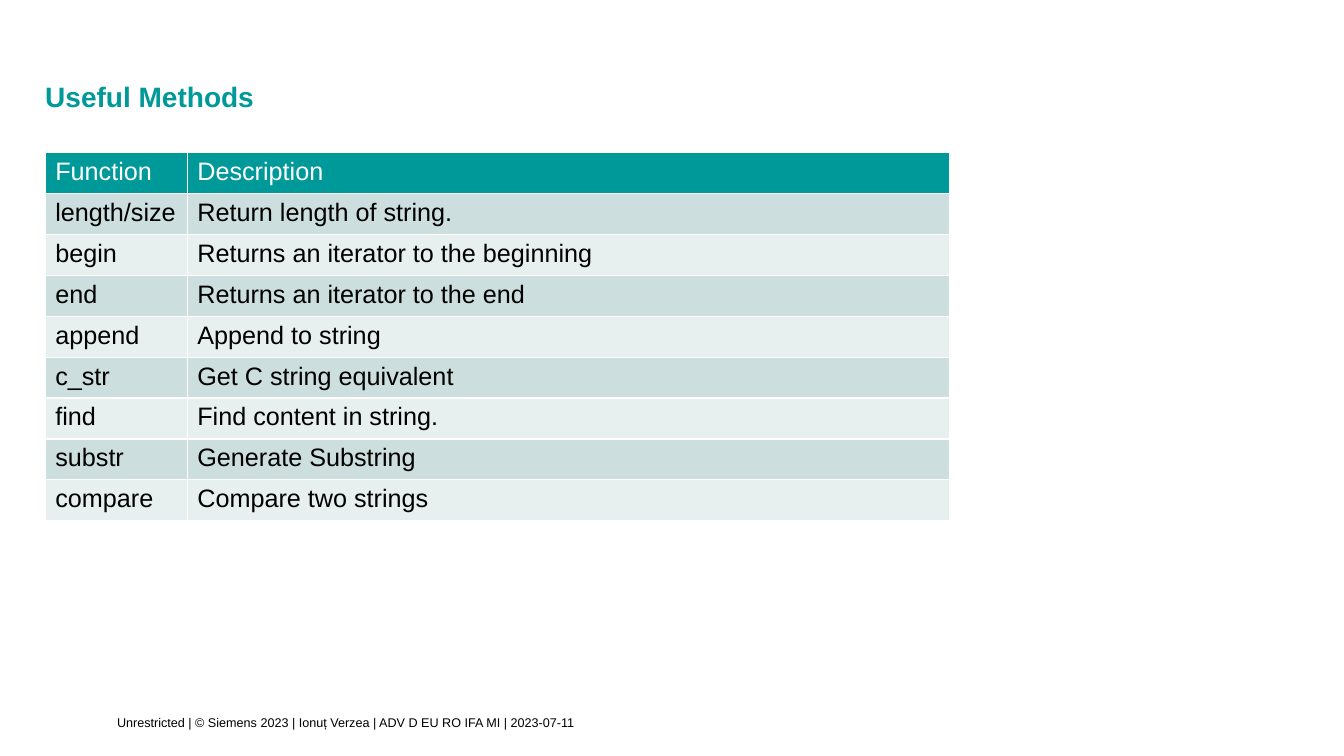
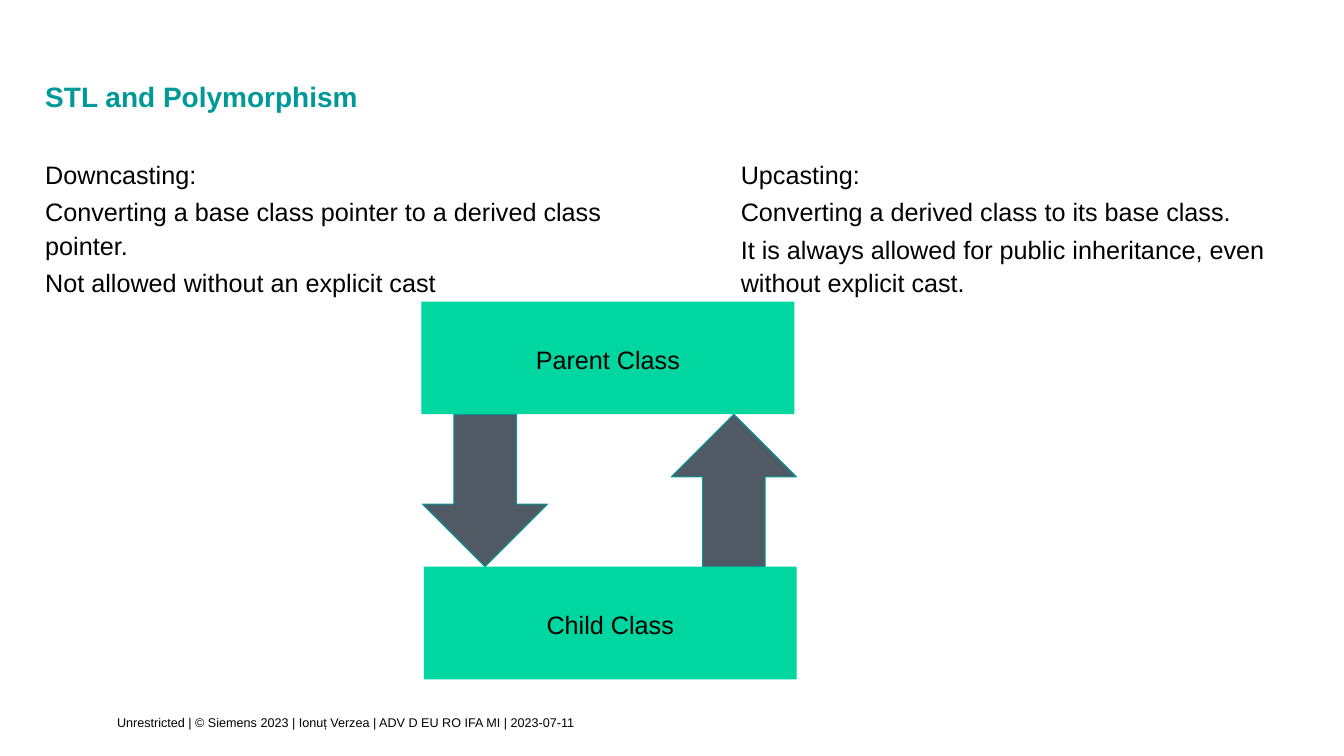
from dataclasses import dataclass

from lxml.etree import SubElement
from pptx import Presentation
from pptx.dml.color import RGBColor
from pptx.enum.shapes import MSO_SHAPE
from pptx.enum.text import MSO_ANCHOR, MSO_AUTO_SIZE, PP_ALIGN
from pptx.oxml import parse_xml
from pptx.oxml.ns import nsdecls, qn
from pptx.presentation import Presentation as Deck
from pptx.shapes.autoshape import Shape
from pptx.slide import Slide
from pptx.text.text import TextFrame
from pptx.util import Cm, Pt

TEAL = RGBColor(0x00, 0x99, 0x99)
GREEN = RGBColor(0x00, 0xD7, 0xA0)
SLATE = RGBColor(0x50, 0x5A, 0x64)
WHITE = RGBColor(0xFF, 0xFF, 0xFF)
BLACK = RGBColor(0x00, 0x00, 0x00)
BANDS = (RGBColor(0xCC, 0xDE, 0xDE), RGBColor(0xE7, 0xEF, 0xEF))

FONT = "Arial"
LEFT = 1.14
FOOTER = "Unrestricted | © Siemens 2023 | Ionuț Verzea | ADV D EU RO IFA MI | 2023-07-11"

# Frame, paragraph and font formats
PLAIN = {"margin_left": 0, "margin_top": 0, "margin_right": 0, "margin_bottom": 0,
         "word_wrap": True, "auto_size": MSO_AUTO_SIZE.NONE}
HEAD_BOX = PLAIN | {"margin_right": Cm(0.89), "margin_bottom": Cm(0.05),
                    "vertical_anchor": MSO_ANCHOR.BOTTOM}
FOOT_BOX = PLAIN | {"margin_bottom": Cm(0.18), "vertical_anchor": MSO_ANCHOR.MIDDLE}
MID_BOX = PLAIN | {"vertical_anchor": MSO_ANCHOR.MIDDLE}
HEAD_PAR = {"alignment": PP_ALIGN.LEFT, "line_spacing": 0.9}
BODY_PAR = {"alignment": PP_ALIGN.LEFT, "line_spacing": 1.1, "space_after": Pt(3)}
MID_PAR = {"alignment": PP_ALIGN.CENTER, "line_spacing": 1.1}
HEAD_FONT = {"name": FONT, "size": Pt(20), "bold": True}
BODY_FONT = {"name": FONT, "size": Pt(18), "bold": False}
FOOT_FONT = {"name": FONT, "size": Pt(9)}


@dataclass(frozen=True)
class Area:
    left: float
    top: float
    width: float
    height: float

    def emu(self) -> tuple[int, int, int, int]:
        return Cm(self.left), Cm(self.top), Cm(self.width), Cm(self.height)


@dataclass(frozen=True)
class Note:
    left: float
    lines: tuple[str, ...]


@dataclass(frozen=True)
class Block:
    kind: MSO_SHAPE
    area: Area
    fill: RGBColor
    label: str = ""
    edge: RGBColor | None = None


HEAD = Area(LEFT, 1.32, 27.41, 1.6)
FOOT = Area(2.95, 17.53, 25.6, 1.52)

METHODS = (
    ("Function", "Description"),
    ("length/size", "Return length of string."),
    ("begin", "Returns an iterator to the beginning"),
    ("end", "Returns an iterator to the end"),
    ("append", "Append to string"),
    ("c_str", "Get C string equivalent"),
    ("find", "Find content in string."),
    ("substr", "Generate Substring"),
    ("compare", "Compare two strings"),
)
COLS = (3.58, 19.2)
ROW = 1.03

NOTES = (
    Note(18.67, ("Upcasting:",
                 "Converting a derived class to its base class.",
                 "It is always allowed for public inheritance, even without explicit cast.")),
    Note(LEFT, ("Downcasting:",
                "Converting a base class pointer to a derived class pointer.",
                "Not allowed without an explicit cast")),
)

# Arrows fill the gap between the two class boxes
BOX_W, BOX_H = 9.4, 2.84
TOP, GAP = 7.6, 3.84
ARROW_W, ARROW_Y = 3.15, TOP + BOX_H
BLOCKS = (
    Block(MSO_SHAPE.RECTANGLE, Area(10.62, TOP, BOX_W, BOX_H), GREEN, "Parent Class"),
    Block(MSO_SHAPE.RECTANGLE, Area(10.68, ARROW_Y + GAP, BOX_W, BOX_H), GREEN, "Child Class"),
    Block(MSO_SHAPE.UP_ARROW, Area(16.92, ARROW_Y, ARROW_W, GAP), SLATE, edge=TEAL),
    Block(MSO_SHAPE.DOWN_ARROW, Area(10.65, ARROW_Y, ARROW_W, GAP), SLATE, edge=TEAL),
)


def apply(target: object, form: dict) -> None:
    for name, value in form.items():
        setattr(target, name, value)


def write(frame: TextFrame, lines: tuple[str, ...], box: dict, par: dict,
          font: dict, color: RGBColor = BLACK) -> None:
    apply(frame, box)
    frame.text = "\n".join(lines)
    for line in frame.paragraphs:
        apply(line, par)
        apply(line.font, font)
        line.font.color.rgb = color


def add_page(deck: Deck, title: str) -> Slide:
    """Add a slide with the shared title and footer."""
    slide = deck.slides.add_slide(deck.slide_layouts[5])
    head = slide.shapes.title
    head.left, head.top, head.width, head.height = HEAD.emu()
    write(head.text_frame, (title,), HEAD_BOX, HEAD_PAR, HEAD_FONT, TEAL)
    foot = slide.shapes.add_textbox(*FOOT.emu())
    write(foot.text_frame, (FOOTER,), FOOT_BOX, {}, FOOT_FONT)
    return slide


def add_edges(cell: object) -> None:
    """Give a filled cell white borders on all sides."""
    props = cell._tc.get_or_add_tcPr()
    for spot, side in enumerate(("lnL", "lnR", "lnT", "lnB")):
        line = parse_xml(f'<a:{side} {nsdecls("a")} w="{Pt(1)}"/>')
        fill = SubElement(line, qn("a:solidFill"))
        SubElement(fill, qn("a:srgbClr"), val=str(WHITE))
        props.insert(spot, line)


def add_grid(slide: Slide) -> None:
    area = Area(LEFT, 3.85, sum(COLS), ROW * len(METHODS))
    grid = slide.shapes.add_table(len(METHODS), len(COLS), *area.emu()).table
    apply(grid, {"first_row": False, "horz_banding": False})
    for col, width in zip(grid.columns, COLS):
        col.width = Cm(width)
    for r, texts in enumerate(METHODS):
        grid.rows[r].height = Cm(ROW)
        for c, text in enumerate(texts):
            cell = grid.cell(r, c)
            cell.fill.solid()
            cell.fill.fore_color.rgb = BANDS[(r - 1) % 2] if r else TEAL
            write(cell.text_frame, (text,), {}, {}, BODY_FONT, BLACK if r else WHITE)
            add_edges(cell)


def add_note(slide: Slide, note: Note) -> None:
    area = Area(note.left, 3.94, 15.19, 4.01)
    box = slide.shapes.add_textbox(*area.emu())
    write(box.text_frame, note.lines, PLAIN, BODY_PAR, BODY_FONT)


def add_block(slide: Slide, block: Block) -> Shape:
    shape = slide.shapes.add_shape(block.kind, *block.area.emu())
    shape.shadow.inherit = False
    shape.fill.solid()
    shape.fill.fore_color.rgb = block.fill
    if block.edge is None:
        shape.line.fill.background()
    else:
        shape.line.color.rgb = block.edge
        shape.line.width = Pt(0.75)
    if block.label:
        write(shape.text_frame, (block.label,), MID_BOX, MID_PAR, BODY_FONT)
    return shape


def main() -> None:
    deck = Presentation()
    deck.slide_width, deck.slide_height = Cm(33.87), Cm(19.05)

    # String methods table
    add_grid(add_page(deck, "Useful Methods"))

    # Casting notes and class diagram
    slide = add_page(deck, "STL and Polymorphism")
    for note in NOTES:
        add_note(slide, note)
    for block in BLOCKS:
        add_block(slide, block)

    deck.save("out.pptx")


if __name__ == "__main__":
    main()
